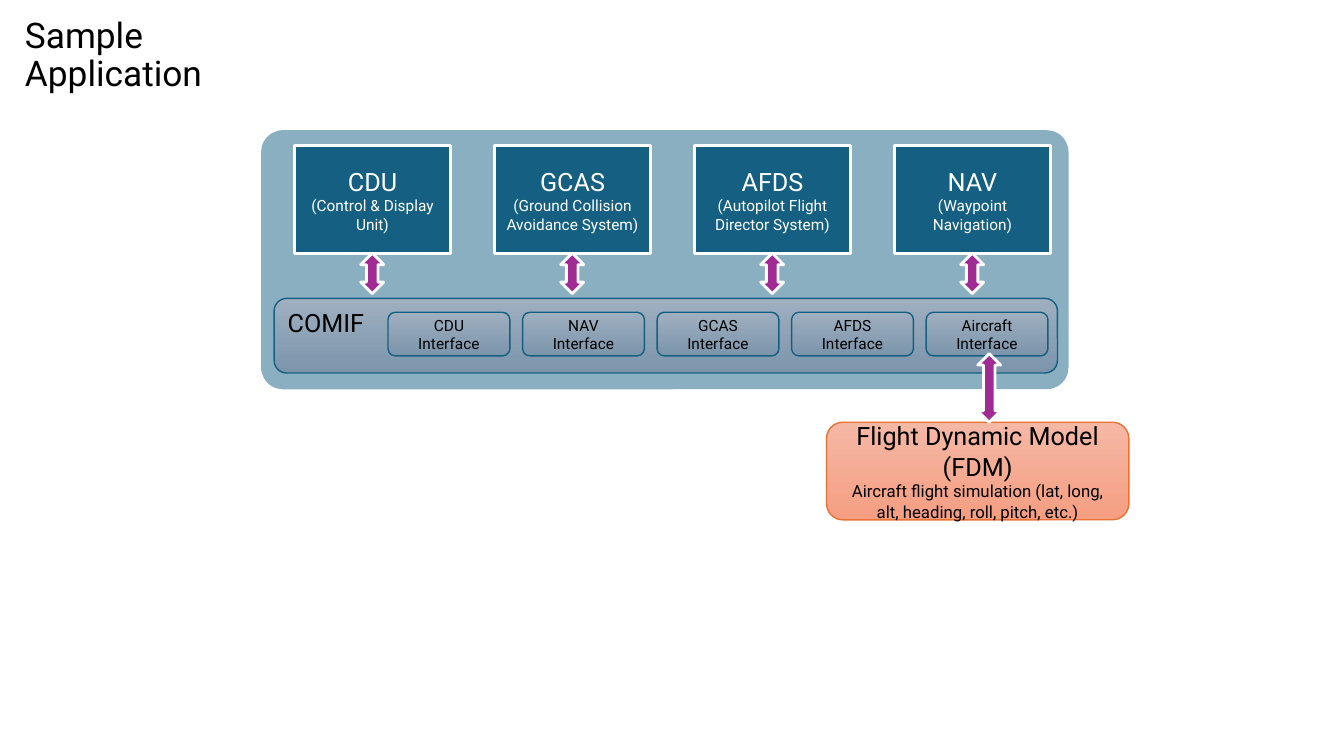
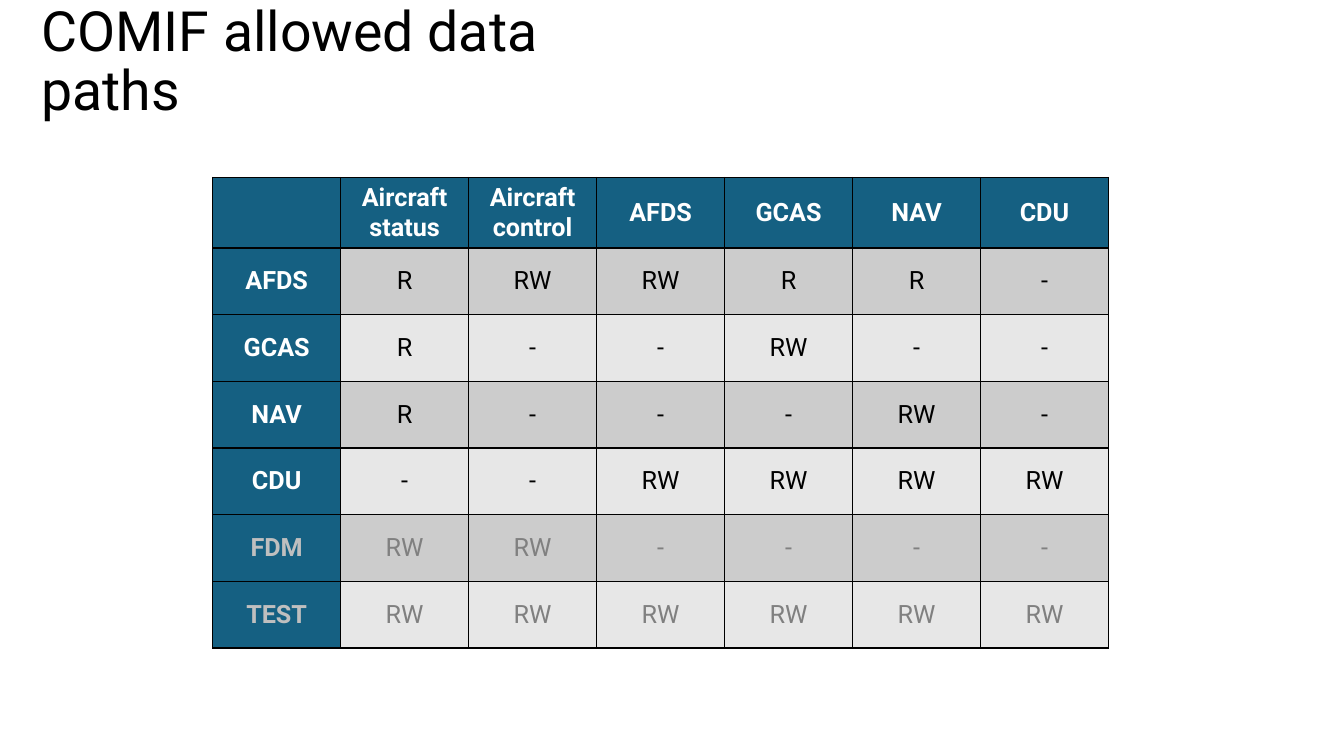
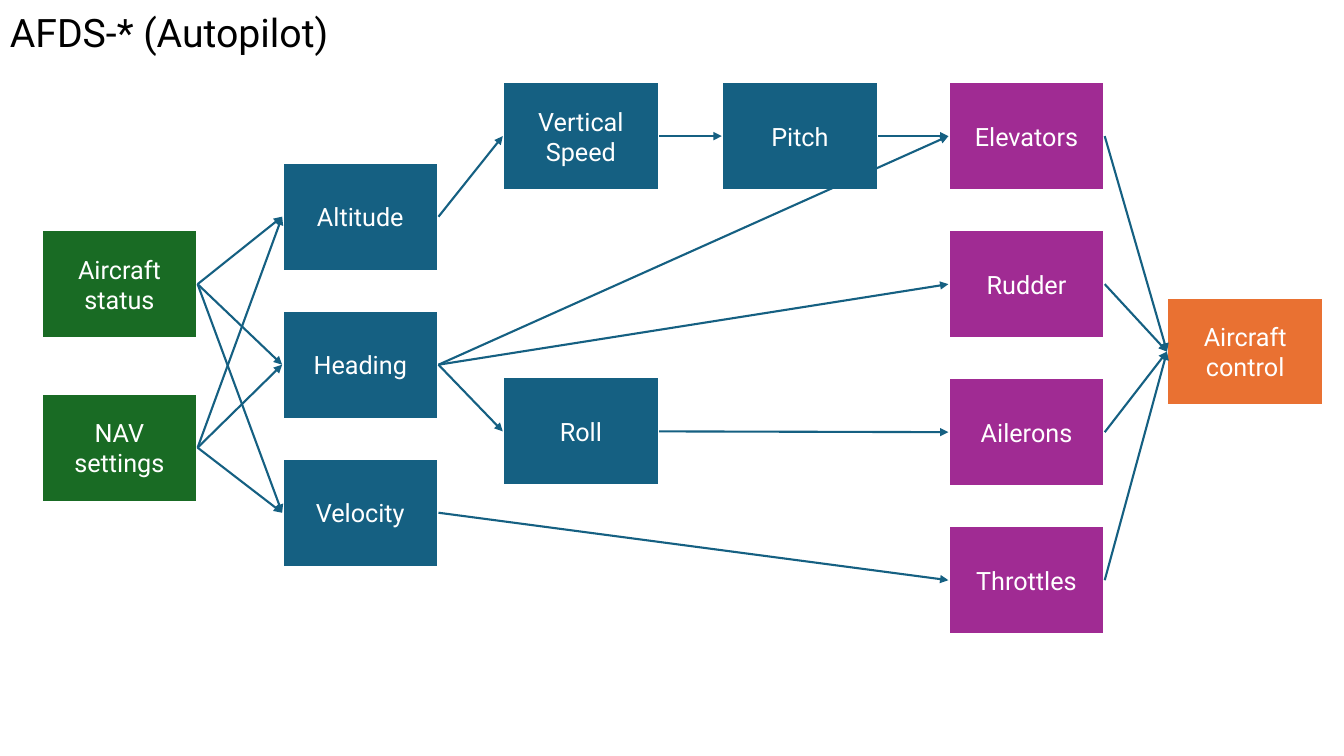
import dataclasses

import lxml.etree
import pptx
import pptx.dml.color
import pptx.enum.shapes
import pptx.enum.text
import pptx.oxml
import pptx.oxml.ns
import pptx.util

Cm, Pt = pptx.util.Cm, pptx.util.Pt
RGB = pptx.dml.color.RGBColor.from_string
SHAPE = pptx.enum.shapes.MSO_SHAPE
ALIGN = pptx.enum.text.PP_ALIGN
ANCHOR = pptx.enum.text.MSO_ANCHOR
qn = pptx.oxml.ns.qn


@dataclasses.dataclass(frozen=True)
class Theme:
    font: str = "Roboto"
    blue: str = "156082"
    green: str = "196B24"
    purple: str = "A02B93"
    orange: str = "E97132"
    black: str = "000000"
    white: str = "FFFFFF"
    steel: tuple = ("9EAFBF", "7C95AB")
    salmon: tuple = ("F5B8A5", "F59E82")
    bands: tuple = ("CCCCCC", "E7E7E7")
    faded_head: str = "BFBFBF"
    faded: str = "808080"
    body: float = 18
    note: float = 12
    small: float = 11
    thin: float = 1
    arrow: float = 1.5
    thick: float = 2


T = Theme()
NODE_W, NODE_H = 3.94, 2.74
ARROW_W = 0.58


def write(tf, lines, color, align=ALIGN.CENTER, anchor=ANCHOR.MIDDLE,
          bold=False, spacing=None):
    """Fill a text frame with one paragraph for each (text, size) pair."""
    tf.word_wrap = True
    tf.vertical_anchor = anchor
    for i, (text, size) in enumerate(lines):
        p = tf.paragraphs[0] if i == 0 else tf.add_paragraph()
        p.alignment = align
        if spacing:
            p.line_spacing = spacing
        r = p.add_run()
        r.text = text
        r.font.color.rgb = RGB(color)
        formats = {"name": T.font, "size": Pt(size), "bold": bold}
        for name, value in formats.items():
            setattr(r.font, name, value)


def sized(text, size=T.body):
    """Pair each line of the text with one size."""
    return [(line, size) for line in text.split("\n")]


def add_title(s, box, text, size):
    tb = s.shapes.add_textbox(*map(Cm, box))
    write(tb.text_frame, sized(text, size), T.black, ALIGN.LEFT, spacing=0.9)


def add_block(shapes, kind, box, fill, line=None, width=T.thick):
    """Add a preset shape; a pair of fill colours makes a vertical gradient."""
    sp = shapes.add_shape(kind, *map(Cm, box))
    sp.shadow.inherit = False
    if isinstance(fill, tuple):
        sp.fill.gradient()
        sp.fill.gradient_angle = 270
        for stop, color in zip(sp.fill.gradient_stops, fill):
            stop.color.rgb = RGB(color)
    else:
        sp.fill.solid()
        sp.fill.fore_color.rgb = RGB(fill)
    if line:
        sp.line.color.rgb = RGB(line)
        sp.line.width = Pt(width)
    else:
        sp.line.fill.background()
    return sp


def add_exchange_arrow(shapes, x, y, h):
    add_block(shapes, SHAPE.UP_DOWN_ARROW, (x, y, ARROW_W, h), T.purple, T.white)


def add_module(s, x, y, name, role):
    """Group an application box with the arrow below it."""
    shapes = s.shapes.add_group_shape().shapes
    sp = add_block(shapes, SHAPE.RECTANGLE, (x, y, NODE_W, NODE_H), T.blue, T.white)
    write(sp.text_frame, [(name, T.body), (role, T.small)], T.white)
    add_exchange_arrow(shapes, x + 1.67, y + 2.72, 1.02)


def add_comif(s, box):
    """Draw the interface layer with its row of interfaces."""
    x, y = box[:2]
    sp = add_block(s.shapes, SHAPE.ROUNDED_RECTANGLE, box, T.steel, T.blue, T.thin)
    write(sp.text_frame, sized("COMIF"), T.black, ALIGN.LEFT, ANCHOR.TOP)
    for i, name in enumerate(("CDU", "NAV", "GCAS", "AFDS", "Aircraft")):
        sp = add_block(s.shapes, SHAPE.ROUNDED_RECTANGLE,
                       (x + 2.87 + 3.39 * i, y + 0.35, 3.07, 1.1),
                       T.steel, T.blue, T.thin)
        write(sp.text_frame, sized(f"{name}\nInterface", T.small), T.black)


def add_application(s, box):
    x, y, w, _ = box
    sp = add_block(s.shapes, SHAPE.ROUNDED_RECTANGLE, box, T.blue)
    sp.adjustments[0] = 0.085
    color = sp.fill._xPr.find(".//" + qn("a:srgbClr"))
    lxml.etree.SubElement(color, qn("a:alpha")).set("val", "50000")
    add_comif(s, (x + 0.33, y + 4.24, w - 0.61, 1.88))
    modules = (
        ("CDU", "(Control & Display Unit)"),
        ("GCAS", "(Ground Collision Avoidance System)"),
        ("AFDS", "(Autopilot Flight Director System)"),
        ("NAV", "(Waypoint Navigation)"),
    )
    for i, (name, role) in enumerate(modules):
        add_module(s, x + 0.84 + 5.04 * i, y + 0.38, name, role)


def add_flight_model(s, box):
    x, y = box[:2]
    sp = add_block(s.shapes, SHAPE.ROUNDED_RECTANGLE, box, T.salmon, T.orange, T.thin)
    write(sp.text_frame, [
        ("Flight Dynamic Model (FDM)", T.body),
        ("Aircraft flight simulation (lat, long, alt, heading, roll, pitch, etc.)",
         T.note),
    ], T.black)
    add_exchange_arrow(s.shapes, x + 3.81, y - 1.73, 1.73)


def set_borders(cell):
    tcPr = cell._tc.get_or_add_tcPr()
    for side in "LRTB":
        ln = lxml.etree.SubElement(tcPr, qn(f"a:ln{side}"), w=str(Pt(T.thin)))
        fill = lxml.etree.SubElement(ln, qn("a:solidFill"))
        lxml.etree.SubElement(fill, qn("a:srgbClr"), val=T.black)


def add_access_table(s, box, rows, faded_names):
    """Draw the access rights, with a heading row and a heading column."""
    tbl = s.shapes.add_table(len(rows), len(rows[0]), *map(Cm, box)).table
    tbl.first_row = tbl.horz_banding = False
    for col in tbl.columns:
        col.width = Cm(box[2] / len(rows[0]))
    for i, values in enumerate(rows):
        tbl.rows[i].height = Cm(1.68 if i else 1.75)
        faded = values[0] in faded_names
        for j, value in enumerate(values):
            head = i == 0 or j == 0
            cell = tbl.cell(i, j)
            set_borders(cell)
            cell.fill.solid()
            cell.fill.fore_color.rgb = RGB(T.blue if head else T.bands[(i - 1) % 2])
            if head:
                color = T.faded_head if faded else T.white
            else:
                color = T.faded if faded else T.black
            cell.vertical_anchor = ANCHOR.MIDDLE
            if value:
                write(cell.text_frame, sized(value), color,
                      bold=head)


def add_stack(s, x, y, pitch, fill, names):
    """Stack boxes downwards and return them by name."""
    nodes = {}
    for i, name in enumerate(names):
        sp = add_block(s.shapes, SHAPE.RECTANGLE,
                       (x, y + pitch * i, NODE_W, NODE_H), fill, T.white)
        write(sp.text_frame, sized(name), T.white)
        nodes[name] = sp
    return nodes


def link(s, source, target):
    """Join the right side of one box to the left side of another."""
    c = s.shapes.add_connector(pptx.enum.shapes.MSO_CONNECTOR.STRAIGHT, 0, 0, 0, 0)
    c.begin_connect(source, 3)
    c.end_connect(target, 1)
    c.line.color.rgb = RGB(T.blue)
    c.line.width = Pt(T.arrow)
    lxml.etree.SubElement(c.line._get_or_add_ln(), qn("a:tailEnd"), type="triangle")
    lxml.etree.SubElement(c._element.spPr, qn("a:effectLst"))


def add_autopilot_flow(s, x, y):
    pitch = 3.73
    stacks = (
        (0, 3.73, 4.12, T.green, ("Aircraft\nstatus", "NAV\nsettings")),
        (6.07, 2.03, pitch, T.blue, ("Altitude", "Heading", "Velocity")),
        (11.63, 0, 7.44, T.blue, ("Vertical Speed", "Roll")),
        (17.15, 0, pitch, T.blue, ("Pitch",)),
        (22.86, 0, pitch, T.purple, ("Elevators", "Rudder", "Ailerons", "Throttles")),
        (28.37, 5.43, pitch, T.orange, ("Aircraft\ncontrol",)),
    )
    nodes = {}
    for dx, dy, step, fill, names in stacks:
        nodes.update(add_stack(s, x + dx, y + dy, step, fill, names))
    inputs, modes, surfaces = (stacks[i][4] for i in (0, 1, 4))
    flows = {name: modes for name in inputs}
    flows.update({
        "Altitude": ("Vertical Speed",),
        "Heading": ("Elevators", "Rudder", "Roll"),
        "Velocity": ("Throttles",),
        "Vertical Speed": ("Pitch",),
        "Pitch": ("Elevators",),
        "Roll": ("Ailerons",),
    })
    flows.update({name: ("Aircraft\ncontrol",) for name in surfaces})
    for source, targets in flows.items():
        for target in targets:
            link(s, nodes[source], nodes[target])


def application_slide(s):
    add_application(s, (6.58, 3.28, 20.35, 6.53))
    add_flight_model(s, (20.83, 10.64, 7.62, 2.46))
    add_title(s, (0.38, 0.41, 7.75, 2.03), "Sample Application", 25.2)


def data_paths_slide(s):
    add_title(s, (0.79, 0.64, 16.59, 1.9), "COMIF allowed data paths", 39.6)
    rows = (
        ("", "Aircraft\nstatus", "Aircraft\ncontrol", "AFDS", "GCAS", "NAV", "CDU"),
        ("AFDS", "R", "RW", "RW", "R", "R", "-"),
        ("GCAS", "R", "-", "-", "RW", "-", "-"),
        ("NAV", "R", "-", "-", "-", "RW", "-"),
        ("CDU", "-", "-", "RW", "RW", "RW", "RW"),
        ("FDM", "RW", "RW", "-", "-", "-", "-"),
        ("TEST", "RW", "RW", "RW", "RW", "RW", "RW"),
    )
    add_access_table(s, (5.36, 4.47, 22.58, 11.83), rows, ("FDM", "TEST"))


def autopilot_slide(s):
    add_autopilot_flow(s, 1.04, 2.06)
    add_title(s, (0, 0, 8.59, 1.73), "AFDS-* (Autopilot)", 28)


def main():
    prs = pptx.Presentation()
    prs.slide_width, prs.slide_height = Cm(33.87), Cm(19.05)
    for build in (application_slide, data_paths_slide, autopilot_slide):
        build(prs.slides.add_slide(prs.slide_layouts[6]))
    prs.save("out.pptx")


if __name__ == "__main__":
    main()
